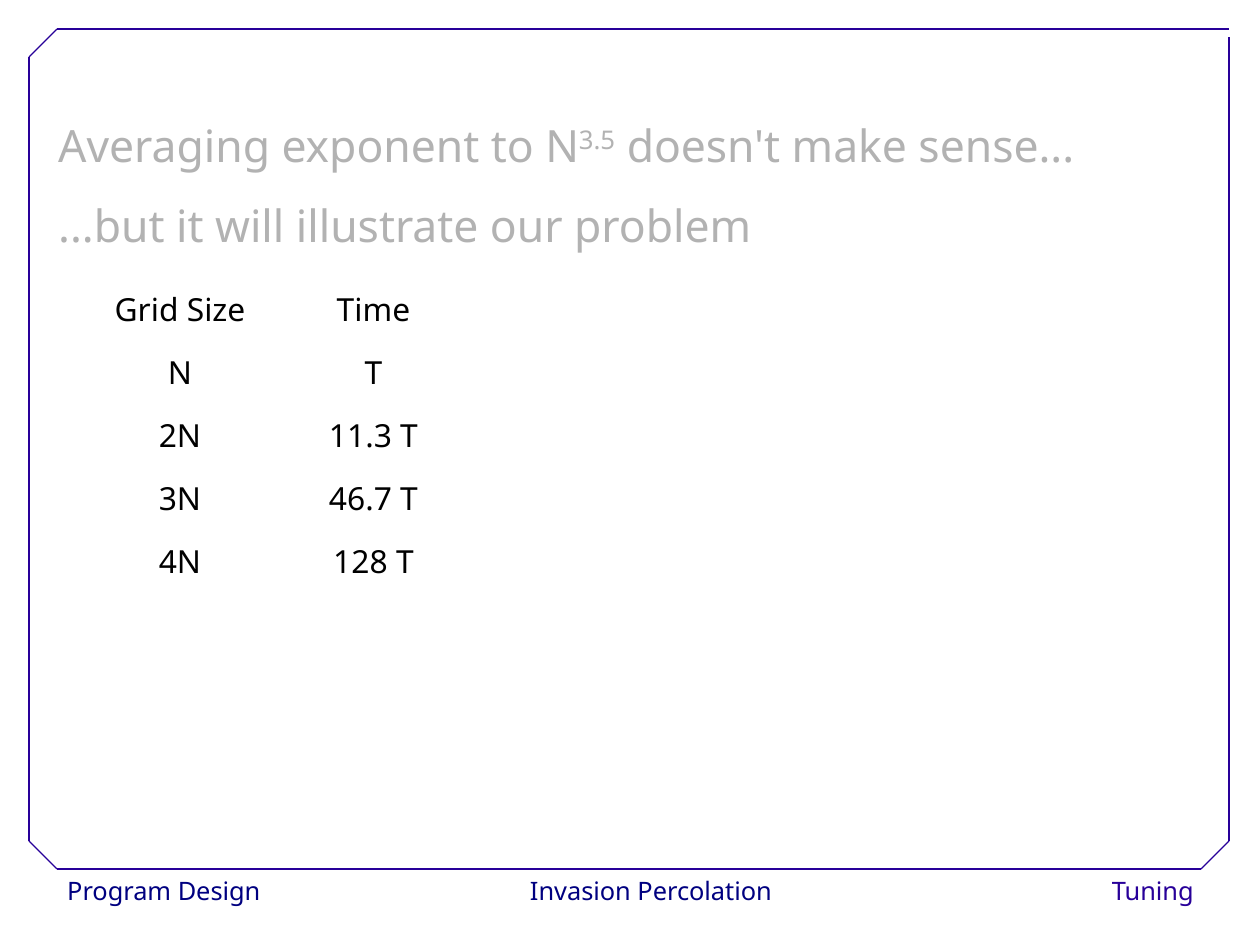
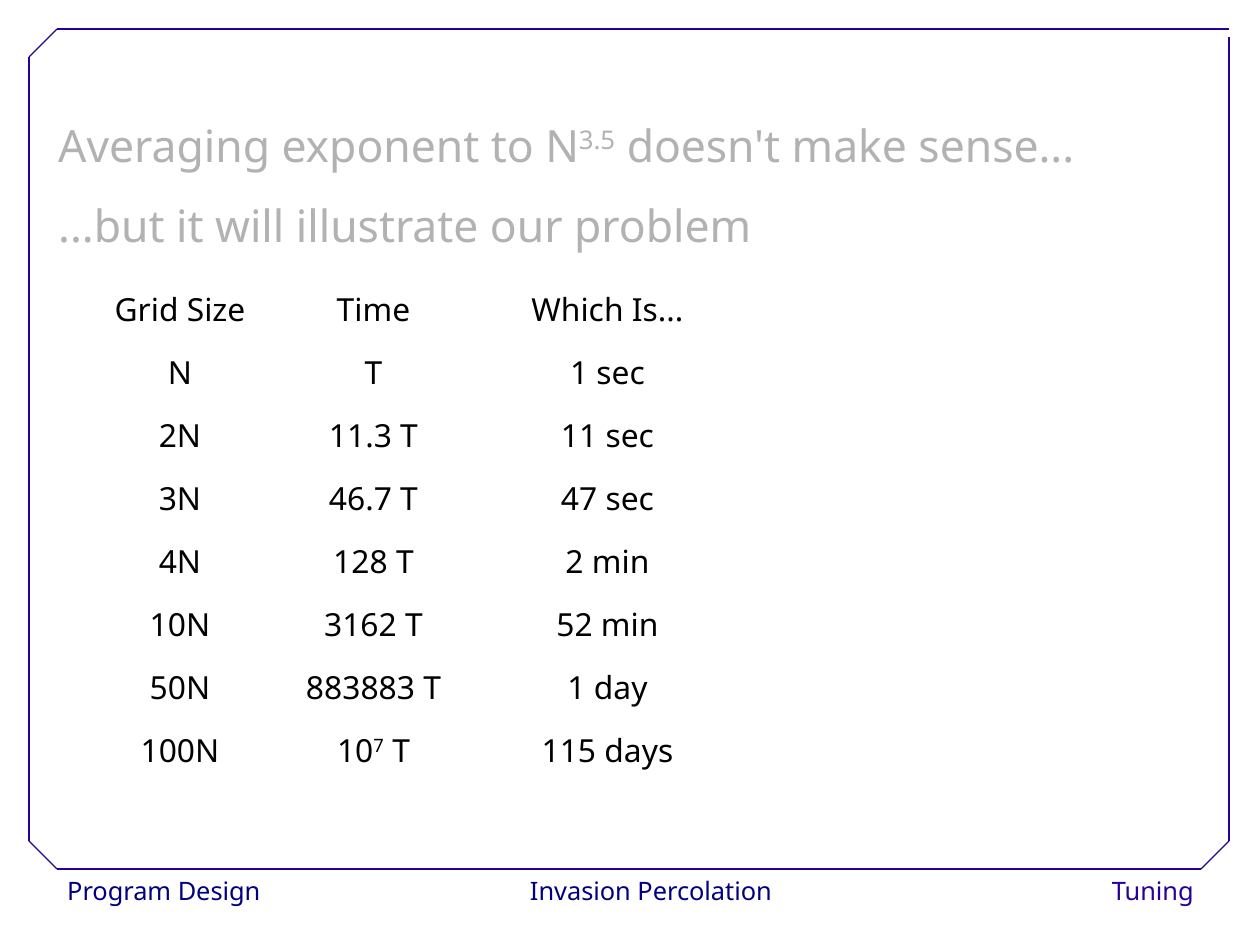
import pptx
import pptx.dml.color
import pptx.enum.shapes
import pptx.enum.text
import pptx.oxml
import pptx.util

EMU_PER_PX = 8000
FONT = "Noto Sans"
COLORS = {"frame": "280099", "footer": "000080", "title": "B2B2B2", "body": "000000"}
ALIGN = pptx.enum.text.PP_ALIGN

# Frame edges and the size of its cut corners
LEFT, TOP, RIGHT, BOTTOM, CUT = 29, 29, 1229, 869, 28
RIGHT_EDGE_TOP = 37

# Text between carets is superscript
TITLE = ["Averaging exponent to N^3.5^ doesn't make sense...",
         "...but it will illustrate our problem"]
FOOTERS = [
    # text, left, width, alignment, color
    ("Program Design", 56, 230, ALIGN.LEFT, "footer"),
    ("Invasion Percolation", 511, 280, ALIGN.CENTER, "footer"),
    ("Tuning", 1045, 160, ALIGN.RIGHT, "frame"),
]
COLUMN_WIDTHS = [180, 207, 261]
ROW_HEIGHT = 63
TIMINGS = [
    ("Grid Size", "Time", "Which Is..."),
    ("N", "T", "1 sec"),
    ("2N", "11.3 T", "11 sec"),
    ("3N", "46.7 T", "47 sec"),
    ("4N", "128 T", "2 min"),
    ("10N", "3162 T", "52 min"),
    ("50N", "883883 T", "1 day"),
    ("100N", "10^7^ T", "115 days"),
]


def px(*lengths):
    return [pptx.util.Emu(length * EMU_PER_PX) for length in lengths]


def rgb(name):
    return pptx.dml.color.RGBColor.from_string(COLORS[name])


def write_paragraph(paragraph, text, size, color, alignment, line_spacing):
    for index, part in enumerate(text.split("^")):
        run = paragraph.add_run()
        run.text = part
        if index % 2:
            run._r.get_or_add_rPr().set("baseline", "30000")
    paragraph.alignment = alignment
    paragraph.line_spacing = line_spacing
    paragraph.font.name = FONT
    paragraph.font.size = pptx.util.Pt(size)
    paragraph.font.color.rgb = rgb(color)


def add_text(slide, box, lines, size, color, alignment, line_spacing):
    frame = slide.shapes.add_textbox(*px(*box)).text_frame
    frame.word_wrap = True
    for index, line in enumerate(lines):
        paragraph = frame.add_paragraph() if index else frame.paragraphs[0]
        write_paragraph(paragraph, line, size, color, alignment, line_spacing)


def add_line(slide, *ends):
    line = slide.shapes.add_connector(
        pptx.enum.shapes.MSO_CONNECTOR.STRAIGHT, *px(*ends))
    line.line.color.rgb = rgb("frame")
    line.line.width = pptx.util.Pt(0.75)
    properties = line._element.spPr
    properties.append(properties.makeelement(pptx.oxml.ns.qn("a:effectLst"), {}))


def add_frame(slide):
    # Straight edges
    add_line(slide, LEFT + CUT, BOTTOM, RIGHT - CUT, BOTTOM)
    add_line(slide, LEFT, BOTTOM - CUT, LEFT, TOP + CUT)
    add_line(slide, LEFT + CUT, TOP, RIGHT, TOP)
    add_line(slide, RIGHT, BOTTOM - CUT, RIGHT, RIGHT_EDGE_TOP)
    # Cut corners
    add_line(slide, LEFT, TOP + CUT, LEFT + CUT, TOP)
    add_line(slide, RIGHT - CUT, BOTTOM, RIGHT, BOTTOM - CUT)
    add_line(slide, LEFT, BOTTOM - CUT, LEFT + CUT, BOTTOM)


def add_table(slide, rows):
    widths = COLUMN_WIDTHS[:len(rows[0])]
    box = px(90, 283, sum(widths), ROW_HEIGHT * len(rows))
    table = slide.shapes.add_table(len(rows), len(widths), *box).table
    table.first_row = table.horz_banding = False
    for column, width in zip(table.columns, px(*widths)):
        column.width = width
    for row, texts in zip(table.rows, rows):
        for cell, text in zip(row.cells, texts):
            cell.fill.background()
            write_paragraph(cell.text_frame.paragraphs[0], text, 20, "body",
                            ALIGN.CENTER, 0.93)


def add_slide(presentation, rows):
    slide = presentation.slides.add_slide(presentation.slide_layouts[6])
    for text, left, width, alignment, color in FOOTERS:
        add_text(slide, (left, BOTTOM, width, 46), [text], 16, color, alignment, 1.02)
    add_frame(slide)
    add_text(slide, (47, 86, 1156, 171), TITLE, 28, "title", ALIGN.LEFT, 1.5)
    add_table(slide, rows)


def main():
    presentation = pptx.Presentation()
    presentation.slide_width, presentation.slide_height = px(1260, 945)
    # First the small grids, then every size with its running time
    add_slide(presentation, [row[:2] for row in TIMINGS[:5]])
    add_slide(presentation, TIMINGS)
    presentation.save("out.pptx")


if __name__ == "__main__":
    main()
